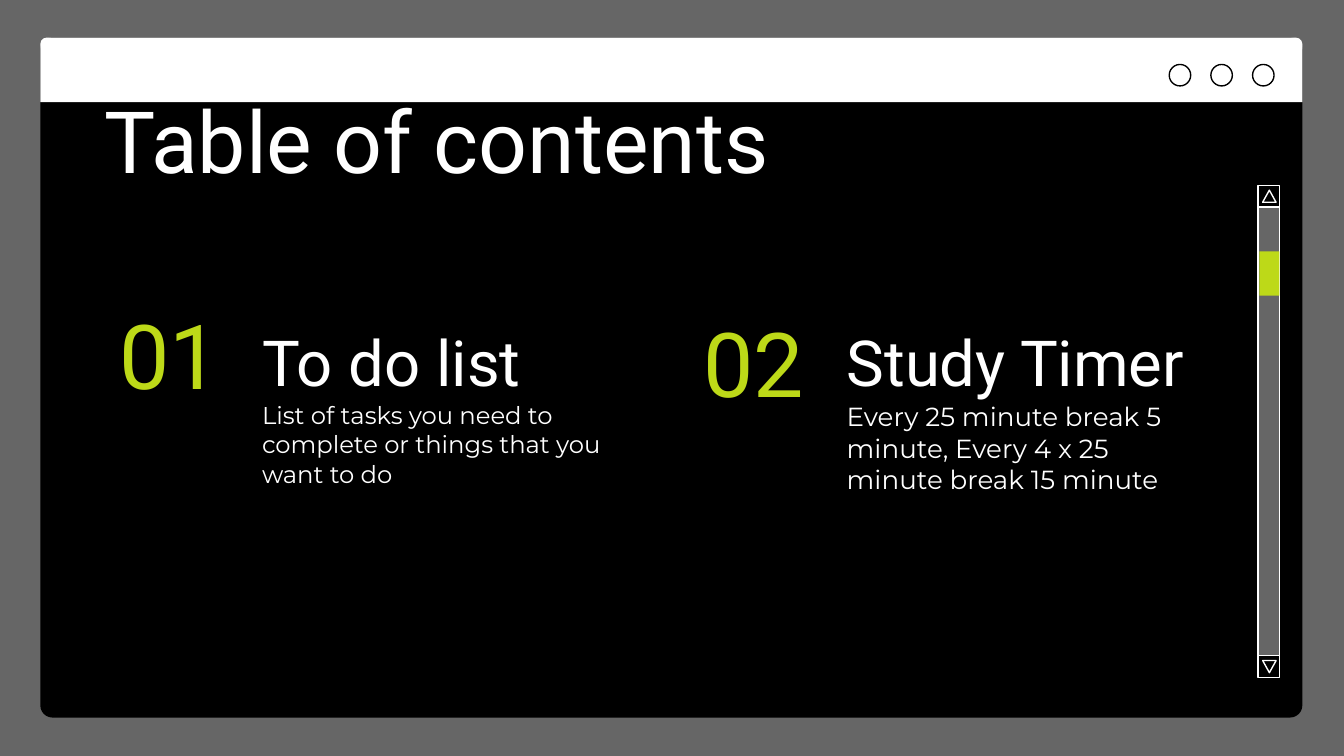
from dataclasses import dataclass
from lxml import etree
from pptx import Presentation
from pptx.dml.color import RGBColor
from pptx.enum.shapes import MSO_SHAPE
from pptx.enum.text import MSO_ANCHOR, MSO_AUTO_SIZE, PP_ALIGN
from pptx.oxml.ns import qn
from pptx.util import Inches, Pt

RECT, OVAL, ARROW = MSO_SHAPE.RECTANGLE, MSO_SHAPE.OVAL, MSO_SHAPE.PENTAGON
ROUND, ROUND_TOP = MSO_SHAPE.ROUNDED_RECTANGLE, MSO_SHAPE.ROUND_2_SAME_RECTANGLE
TOP, MIDDLE, BOTTOM = MSO_ANCHOR.TOP, MSO_ANCHOR.MIDDLE, MSO_ANCHOR.BOTTOM
LEFT, CENTER = PP_ALIGN.LEFT, PP_ALIGN.CENTER


@dataclass(frozen=True)
class Theme:
    gray: str = "666666"
    black: str = "000000"
    white: str = "FFFFFF"
    lime: str = "BDD918"
    display: str = "Roboto"
    text: str = "Montserrat"
    title_size: int = 46
    number_size: int = 48
    heading_size: int = 34
    line: float = 0.75


THEME = Theme()
TITLE = "Table of contents"
SECTIONS = [
    {"number": "01", "heading": "To do list", "size": 13, "number_top": 2.19,
     "body": "List of tasks you need to complete or things that you want to do"},
    {"number": "02", "heading": "Study Timer", "size": 14, "number_top": 2.25,
     "body": "Every 25 minute break 5 minute, Every 4 x 25 minute break 15 minute"},
]
FIRST_LEFT, SECTION_STEP = 0.67, 4.35
NUMBER_WIDTH, TEXT_WIDTH = 1.18, 2.88
BAR_LEFT, BAR_TOP, BAR_HEIGHT, BUTTON = 9.36, 1.54, 3.34, 0.16

deck = Presentation()
deck.slide_width, deck.slide_height = Inches(10), Inches(10 * 9 / 16)
page = deck.slides.add_slide(deck.slide_layouts.get_by_name("Comparison"))
page.background.fill.solid()
page.background.fill.fore_color.rgb = RGBColor.from_string(THEME.gray)
slots = {slot.placeholder_format.idx: slot for slot in page.placeholders
         if slot.placeholder_format.idx < 5}


def add_part(kind, at, fill=None, line=None, adjust=(), turn=0):
    part = page.shapes.add_shape(kind, *map(Inches, at))
    part.shadow.inherit = False
    part.rotation = turn
    for index, value in enumerate(adjust):
        part.adjustments[index] = value
    if fill:
        part.fill.solid()
        part.fill.fore_color.rgb = RGBColor.from_string(fill)
    else:
        part.fill.background()
    if line:
        part.line.color.rgb = RGBColor.from_string(line)
        part.line.width = Pt(THEME.line)
    else:
        part.line.fill.background()


def write(box, at, words, size, font, color, anchor=TOP, align=LEFT):
    box.left, box.top, box.width, box.height = map(Inches, at)
    frame = box.text_frame
    frame.word_wrap = True
    frame.auto_size = MSO_AUTO_SIZE.NONE
    frame.vertical_anchor = anchor
    frame.margin_left = frame.margin_right = Inches(0.1)
    frame.margin_top = frame.margin_bottom = Inches(0.1)
    para = frame.paragraphs[0]
    para.alignment = align
    para.space_before = Pt(0)
    props = para._p.get_or_add_pPr()
    props.set("marL", "0")
    props.set("indent", "0")
    etree.SubElement(props, qn("a:buNone"))
    span = para.add_run()
    span.text = words
    span.font.size, span.font.name, span.font.bold = Pt(size), font, False
    span.font.color.rgb = RGBColor.from_string(color)


add_part(ROUND, (0.3, 0.28, 9.39, 5.06), THEME.black, adjust=[0.018])
add_part(ROUND_TOP, (0.3, 0.28, 9.39, 0.48), THEME.white, adjust=[0.1, 0])
for index in range(3):
    add_part(OVAL, (8.7 + 0.31 * index, 0.48, 0.16, 0.16), line=THEME.black)

for slot in slots.values():
    page.shapes.element.append(slot.element)

write(slots[0], (0.68, 0.55, 8.64, 0.88), TITLE,
      THEME.title_size, THEME.display, THEME.white)
for index, section in enumerate(SECTIONS):
    left = FIRST_LEFT + SECTION_STEP * index
    text_left = left + NUMBER_WIDTH
    write(slots[1 + 2 * index], (text_left, 2.31, TEXT_WIDTH, 0.76), section["heading"],
          THEME.heading_size, THEME.display, THEME.white, BOTTOM)
    write(slots[2 + 2 * index], (text_left, 2.88, TEXT_WIDTH, 0.94), section["body"],
          section["size"], THEME.text, THEME.white)
    number_at = (left, section["number_top"], NUMBER_WIDTH, 0.88)
    write(page.shapes.add_textbox(0, 0, 0, 0), number_at, section["number"],
          THEME.number_size, THEME.display, THEME.lime, MIDDLE, CENTER)

add_part(RECT, (BAR_LEFT, BAR_TOP, BUTTON, BAR_HEIGHT), THEME.gray, THEME.white)
for top, turn in [(BAR_TOP - BUTTON, 270), (BAR_TOP + BAR_HEIGHT, 90)]:
    add_part(RECT, (BAR_LEFT, top, BUTTON, BUTTON), THEME.black, THEME.white)
    add_part(ARROW, (BAR_LEFT + 0.04, top + 0.03, 0.09, 0.1),
             THEME.black, THEME.white, [1.1], turn)
add_part(RECT, (BAR_LEFT + 0.01, 1.87, 0.15, 0.33), THEME.lime)

deck.save("out.pptx")
